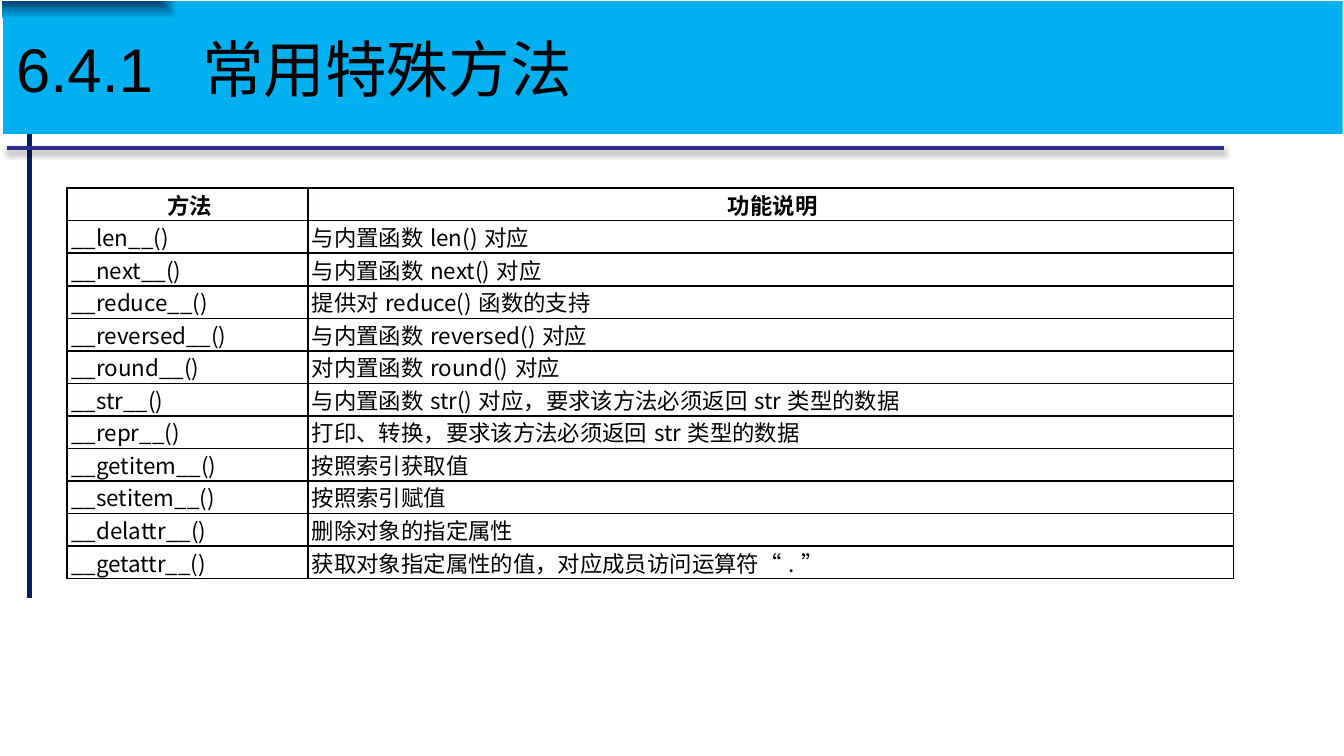
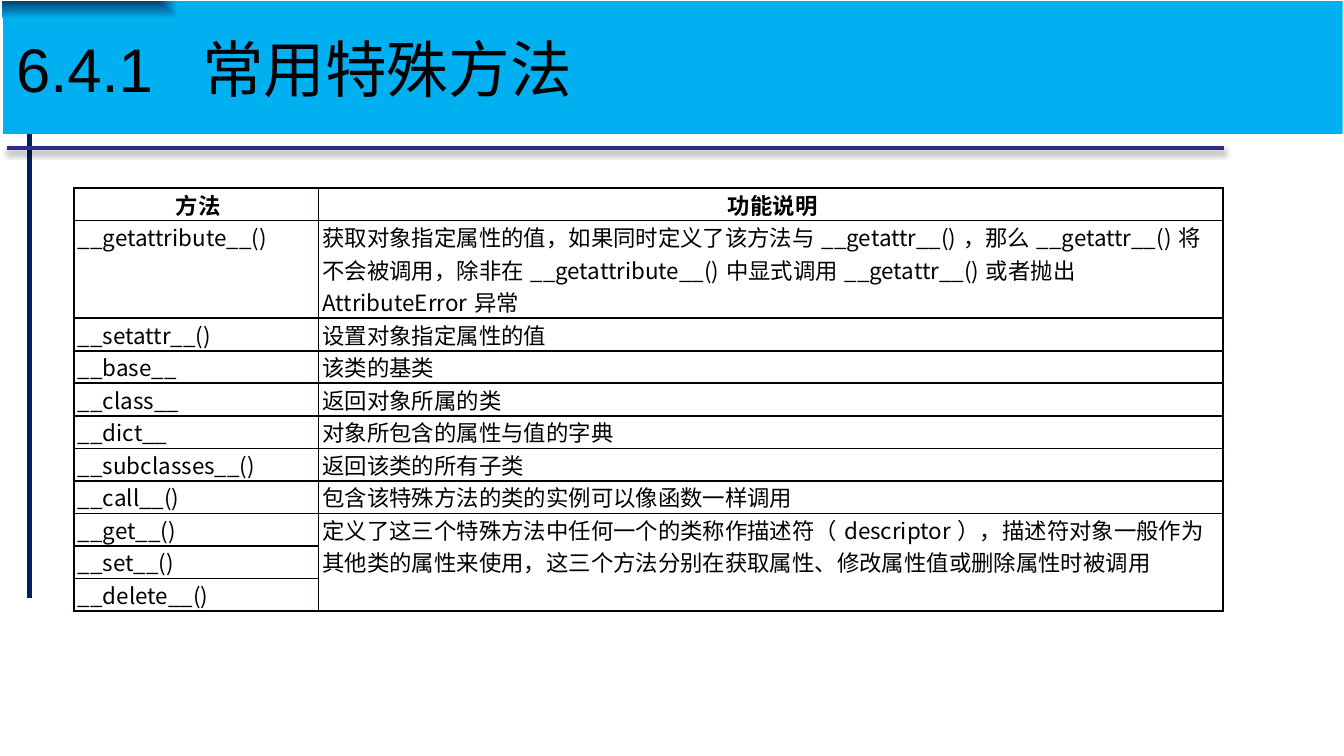
from dataclasses import dataclass

from pptx import Presentation
from pptx.dml.color import RGBColor
from pptx.enum.shapes import MSO_CONNECTOR as Connector
from pptx.enum.text import MSO_ANCHOR as Anchor, MSO_AUTO_SIZE as AutoSize, PP_ALIGN as Align
from pptx.oxml import parse_xml
from pptx.oxml.ns import nsdecls
from pptx.util import Inches, Pt


@dataclass(frozen=True)
class Theme:
    """Colours, fonts and type sizes shared by the slides."""

    text: str = "000000"
    grid: str = "080000"
    vertical_rule: str = "002060"
    horizontal_rule: str = "2D2D89"
    band: str = "00B0F0"
    band_corner: str = "034373"
    title_font: str = "Arial"
    table_font: str = "Noto Sans CJK SC"
    title_size: float = 33
    table_size: float = 12
    rule_width: float = 2.25
    grid_width: float = 1
    edge_width: float = 0.75


THEME = Theme()
TITLE = "6.4.1  常用特殊方法"
HEADER = ("方法", "功能说明")
BUILTIN_METHODS = [
    ("__len__()", "与内置函数len()对应"),
    ("__next__()", "与内置函数next()对应"),
    ("__reduce__()", "提供对reduce()函数的支持"),
    ("__reversed__()", "与内置函数reversed()对应"),
    ("__round__()", "对内置函数round()对应"),
    ("__str__()", "与内置函数str()对应，要求该方法必须返回str类型的数据"),
    ("__repr__()", "打印、转换，要求该方法必须返回str类型的数据"),
    ("__getitem__()", "按照索引获取值"),
    ("__setitem__()", "按照索引赋值"),
    ("__delattr__()", "删除对象的指定属性"),
    ("__getattr__()", "获取对象指定属性的值，对应成员访问运算符“.”"),
]
ATTRIBUTE_METHODS = [
    ("__getattribute__()", "获取对象指定属性的值，如果同时定义了该方法与__getattr__()，"
     "那么__getattr__()将不会被调用，除非在__getattribute__()中显式调用"
     "__getattr__()或者抛出AttributeError异常"),
    ("__setattr__()", "设置对象指定属性的值"),
    ("__base__", "该类的基类"),
    ("__class__", "返回对象所属的类"),
    ("__dict__", "对象所包含的属性与值的字典"),
    ("__subclasses__()", "返回该类的所有子类"),
    ("__call__()", "包含该特殊方法的类的实例可以像函数一样调用"),
    ("__get__()", "定义了这三个特殊方法中任何一个的类称作描述符（descriptor），"
     "描述符对象一般作为其他类的属性来使用，这三个方法分别在获取属性、"
     "修改属性值或删除属性时被调用"),
    ("__set__()", ""),
    ("__delete__()", ""),
]


def add_run(paragraph, text, font_name, size, bold=False):
    """Add one formatted run to a paragraph."""
    run = paragraph.add_run()
    run.text = text
    run.font.name = font_name
    run.font.size = Pt(size)
    run.font.bold = bold
    run.font.color.rgb = RGBColor.from_string(THEME.text)
    return run


def add_rule(slide, layout, start, end, color, shadow=""):
    """Draw a rule and move it to the layout, so that every slide shows it."""
    rule = slide.shapes.add_connector(Connector.STRAIGHT, *map(Inches, start + end))
    rule.line.color.rgb = RGBColor.from_string(color)
    rule.line.width = Pt(THEME.rule_width)
    rule.element.spPr.append(
        parse_xml(f'<a:effectLst {nsdecls("a")}>{shadow}</a:effectLst>'))
    tree = layout.element.cSld.spTree
    rule.element.nvCxnSpPr.cNvPr.set("id", str(len(tree) + 20))
    tree.append(rule.element)


def add_layout_rules(slide, layout):
    """Put the vertical and the shadowed horizontal rule on the layout."""
    shadow = (f'<a:outerShdw blurRad="{Pt(3.1)}" dist="{Pt(1.8)}" dir="5400000" '
              'rotWithShape="0"><a:srgbClr val="000000"><a:alpha val="35000"/>'
              '</a:srgbClr></a:outerShdw>')
    add_rule(slide, layout, (0.22, 0.81), (0.22, 4.45), THEME.vertical_rule)
    add_rule(slide, layout, (0.05, 1.1), (9.11, 1.1), THEME.horizontal_rule, shadow)


def set_title(slide, text):
    """Fill the title placeholder and shape it as the gradient band."""
    title = slide.shapes.title
    title.left, title.top = Inches(0.02), Inches(0.01)
    title.width, title.height = Inches(9.97), Inches(0.99)
    title.element.spPr.append(parse_xml(
        f'<a:gradFill rotWithShape="1" {nsdecls("a")}><a:gsLst>'
        f'<a:gs pos="0"><a:srgbClr val="{THEME.band_corner}"/></a:gs>'
        f'<a:gs pos="26000"><a:srgbClr val="{THEME.band}"/></a:gs></a:gsLst>'
        '<a:path path="rect"><a:fillToRect r="100000" b="100000"/></a:path></a:gradFill>'))
    frame = title.text_frame
    frame.auto_size = AutoSize.NONE
    frame.word_wrap = True
    frame.vertical_anchor = Anchor.MIDDLE
    paragraph = frame.paragraphs[0]
    paragraph.alignment = Align.LEFT
    add_run(paragraph, text, THEME.title_font, THEME.title_size)


def set_borders(cell, right_edge, bottom_edge):
    """Rule the four sides of a cell, thinner on the marked edges."""
    properties = cell._tc.get_or_add_tcPr()
    for side, thin in (("L", False), ("R", right_edge), ("T", False), ("B", bottom_edge)):
        width = THEME.edge_width if thin else THEME.grid_width
        color = THEME.text if thin else THEME.grid
        properties.append(parse_xml(
            f'<a:ln{side} w="{Pt(width)}" {nsdecls("a")}><a:solidFill>'
            f'<a:srgbClr val="{color}"/></a:solidFill></a:ln{side}>'))


def fill_cell(cell, text, is_header):
    """Write a cell's text with tight margins and no fill."""
    cell.fill.background()
    cell.margin_left = Inches(0.03)
    cell.margin_right = cell.margin_top = cell.margin_bottom = 0
    cell.vertical_anchor = Anchor.TOP
    if not text:
        return
    paragraph = cell.text_frame.paragraphs[0]
    paragraph.alignment = Align.CENTER if is_header else Align.LEFT
    run = add_run(paragraph, text, THEME.table_font, THEME.table_size, is_header)
    run.font._element.append(
        parse_xml(f'<a:ea typeface="{THEME.table_font}" {nsdecls("a")}/>'))


def add_method_table(slide, methods, left, widths, heights, merged_rows=None):
    """Add a two-column method table, joining descriptions over merged_rows."""
    rows = [HEADER, *methods]
    frame = slide.shapes.add_table(
        len(rows), len(widths), Inches(left), Inches(1.4),
        Inches(sum(widths)), Inches(sum(heights)))
    table = frame.table
    table.first_row = table.horz_banding = False
    for column, width in zip(table.columns, widths):
        column.width = Inches(width)
    for row, height in zip(table.rows, heights):
        row.height = Inches(height)
    for row_index, texts in enumerate(rows):
        for column_index, text in enumerate(texts):
            cell = table.cell(row_index, column_index)
            is_description = column_index == 1
            is_merged = bool(merged_rows) and row_index >= merged_rows[0]
            set_borders(cell, is_description, is_description and is_merged)
            fill_cell(cell, text, row_index == 0)
    if merged_rows:
        first, last = merged_rows
        table.cell(first, 1).merge(table.cell(last, 1))


def main():
    """Build and save the two widescreen slides."""
    presentation = Presentation()
    presentation.slide_width = Inches(10)
    presentation.slide_height = Inches(10) * 9 // 16
    layout = presentation.slide_layouts[5]
    builtin_slide = presentation.slides.add_slide(layout)
    attribute_slide = presentation.slides.add_slide(layout)
    add_layout_rules(builtin_slide, layout)
    for slide in (builtin_slide, attribute_slide):
        set_title(slide, TITLE)
    add_method_table(builtin_slide, BUILTIN_METHODS, 0.5, (1.79, 6.89), [0.2] * 12)
    add_method_table(attribute_slide, ATTRIBUTE_METHODS, 0.55, (1.82, 6.73),
                     [0.22, 0.62] + [0.22] * 9, merged_rows=(8, 10))
    presentation.save("out.pptx")


if __name__ == "__main__":
    main()
